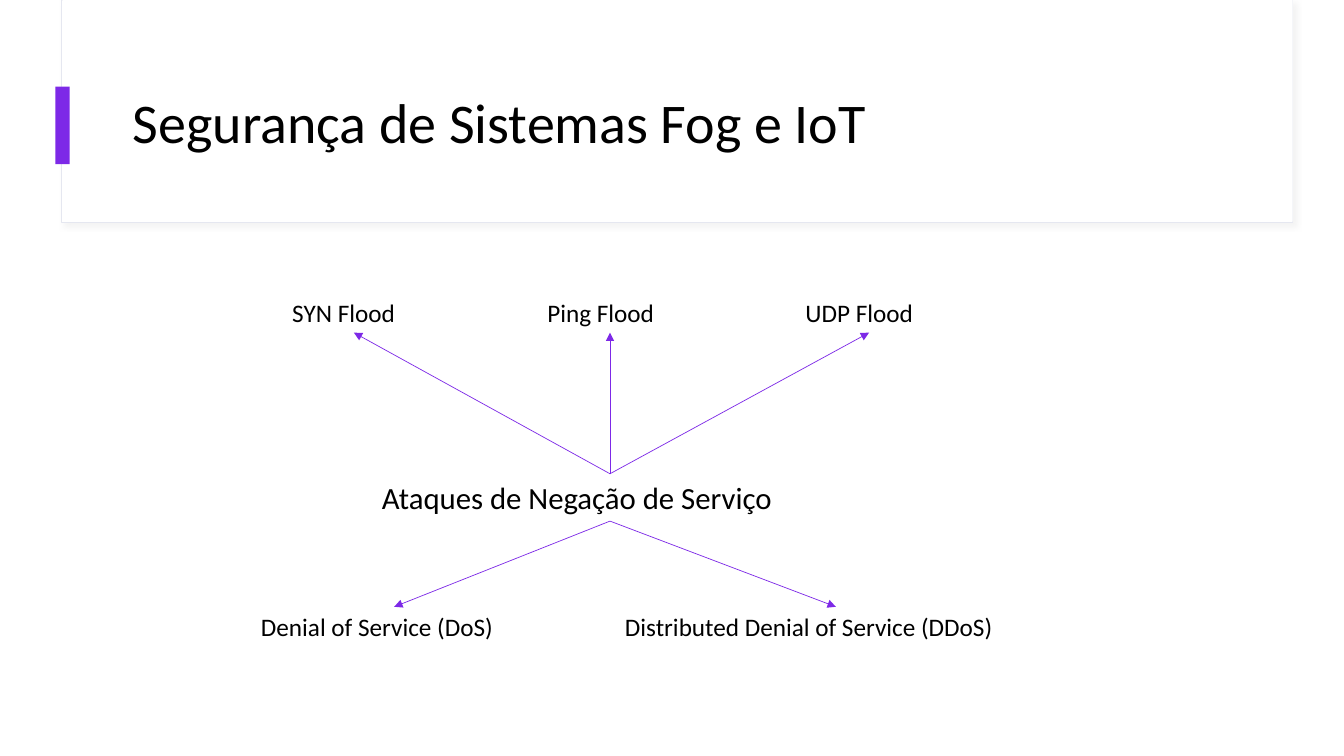
import pptx
import pptx.dml.color
import pptx.enum.shapes
import pptx.enum.text
import pptx.oxml
import pptx.oxml.ns
import pptx.util
from dataclasses import dataclass

Inches = pptx.util.Inches
Pt = pptx.util.Pt
rgb = pptx.dml.color.RGBColor.from_string
A_NS = pptx.oxml.ns.nsdecls("a")


@dataclass(frozen=True)
class Theme:
    font: str = "Calibri"
    ink: str = "000000"
    accent: str = "7D29E7"
    paper: str = "FFFFFF"
    border: str = "E5E7F0"
    shadow: str = "D9D9D9"
    title_size: int = 40
    topic_size: int = 22
    label_size: int = 18


theme = Theme()
deck = pptx.Presentation()
deck.slide_width, deck.slide_height = Inches(13.33), Inches(7.5)
slide = deck.slides.add_slide(deck.slide_layouts[6])


def add_panel(box, fill):
    panel = slide.shapes.add_shape(
        pptx.enum.shapes.MSO_SHAPE.RECTANGLE, *map(Inches, box))
    panel.shadow.inherit = False
    panel.fill.solid()
    panel.fill.fore_color.rgb = rgb(fill)
    panel.line.fill.background()
    return panel


def add_label(text, box, size, frame_format):
    label = slide.shapes.add_textbox(*map(Inches, box))
    for name, value in frame_format.items():
        setattr(label.text_frame, name, value)
    paragraph = label.text_frame.paragraphs[0]
    run = paragraph.add_run()
    run.text = text
    run.font.color.rgb = rgb(theme.ink)
    for name, value in {"name": theme.font, "size": Pt(size)}.items():
        setattr(run.font, name, value)
    return paragraph


# Header: bordered card with a soft shadow, white face and accent bar
card = add_panel((0.61, 0, 12.21, 2.21), theme.paper)
card.line.color.rgb = rgb(theme.border)
card.line.width = Pt(0.75)
card_effects = card._element.spPr.find(pptx.oxml.ns.qn("a:effectLst"))
card_effects.append(pptx.oxml.parse_xml(
    f'<a:outerShdw {A_NS} blurRad="{Pt(4)}" dist="{Pt(3)}" dir="2700000" '
    f'algn="tl" rotWithShape="0"><a:srgbClr val="{theme.shadow}">'
    '<a:alpha val="30000"/></a:srgbClr></a:outerShdw>'))
add_panel((0.62, 0, 12.2, 2.2), theme.paper)
add_panel((0.55, 0.86, 0.14, 0.77), theme.accent)

title = add_label(
    "Segurança de Sistemas Fog e IoT", (1.22, 0.6, 11.12, 1.29),
    theme.title_size,
    {"word_wrap": True,
     "vertical_anchor": pptx.enum.text.MSO_ANCHOR.MIDDLE})
title.line_spacing = 0.9

# Central topic
label_format = {
    "word_wrap": False,
    "auto_size": pptx.enum.text.MSO_AUTO_SIZE.SHAPE_TO_FIT_TEXT,
}
topic_x, topic_top, topic_bottom = 6.05, 4.7, 5.17
add_label("Ataques de Negação de Serviço",
          (3.69, topic_top, 4.74, topic_bottom - topic_top),
          theme.topic_size, label_format)

# Branches: label, left and width, in a row above and a row below the topic
label_height = 0.4
attack_top, variant_top = 2.9, 6.02
branch_rows = [
    (attack_top, topic_top, attack_top + label_height,
     [("SYN Flood", 2.8, 1.42),
      ("Ping Flood", 5.33, 1.45),
      ("UDP Flood", 7.89, 1.46)]),
    (variant_top, topic_bottom, variant_top,
     [("Denial of Service (DoS)", 2.49, 2.84),
      ("Distributed Denial of Service (DDoS)", 6.1, 4.39)]),
]
for row_top, arrow_start, arrow_end, branches in branch_rows:
    for text, left, width in branches:
        add_label(text, (left, row_top, width, label_height),
                  theme.label_size, label_format)
        # Each arrow meets the middle of its label
        target_x = round(left + width / 2, 2)
        arrow = slide.shapes.add_connector(
            pptx.enum.shapes.MSO_CONNECTOR.STRAIGHT,
            Inches(topic_x), Inches(arrow_start),
            Inches(target_x), Inches(arrow_end))
        arrow.line.color.rgb = rgb(theme.accent)
        arrow.line.width = Pt(0.5)
        arrow.line._get_or_add_ln().append(
            pptx.oxml.parse_xml(f'<a:tailEnd {A_NS} type="triangle"/>'))
        arrow._element.spPr.append(
            pptx.oxml.parse_xml(f"<a:effectLst {A_NS}/>"))

deck.save("out.pptx")
